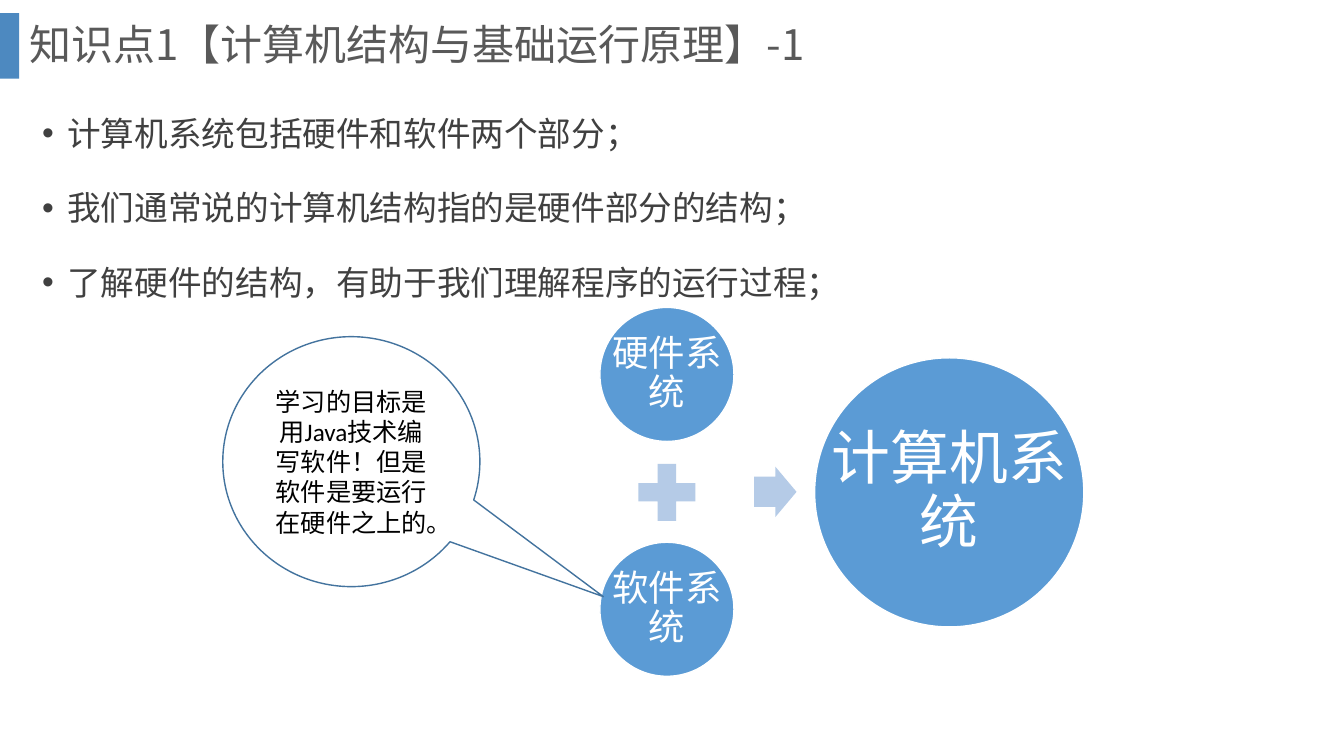
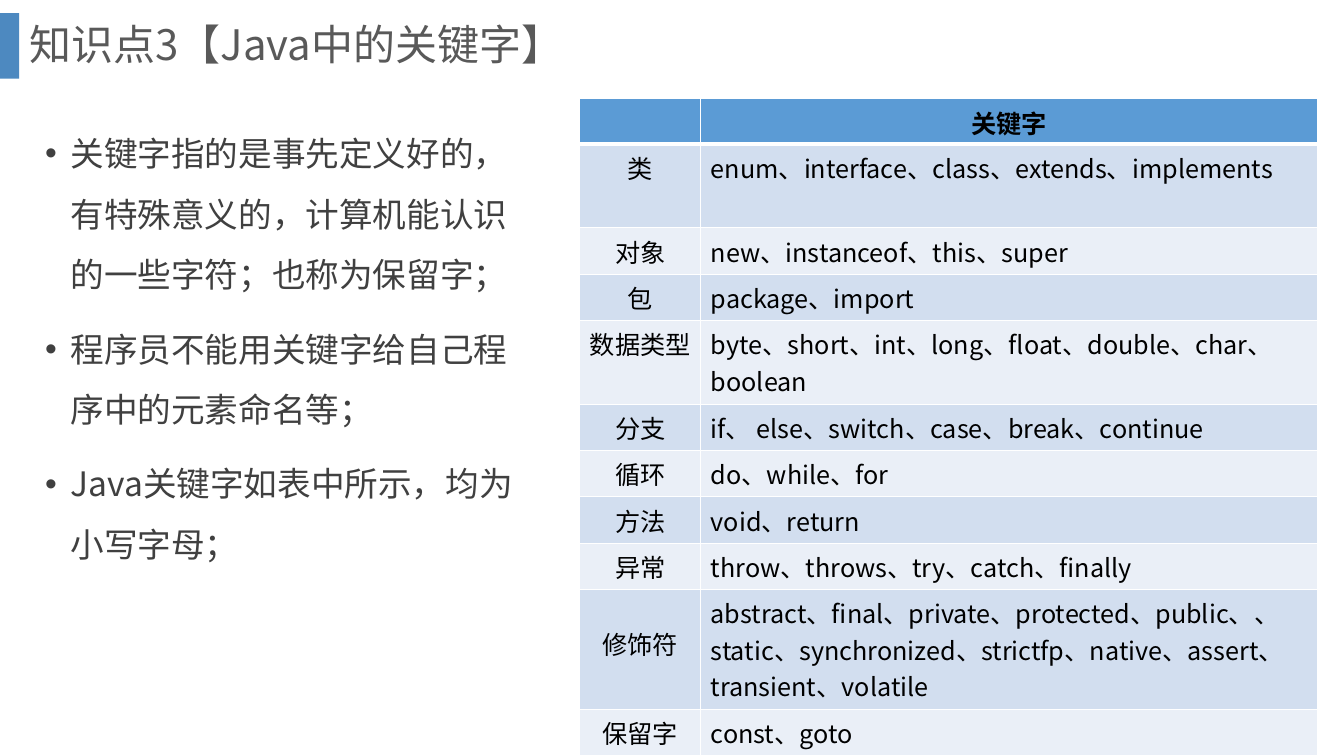
from dataclasses import dataclass
from lxml import etree
from pptx import Presentation
from pptx import util as u
from pptx.dml.color import RGBColor
from pptx.enum import shapes, text
from pptx.oxml.ns import qn

EMU_PER_PX = 9144


@dataclass(frozen=True)
class Theme:
    cjk: str = "Noto Sans CJK SC"
    latin: str = "Calibri"
    title: str = "595959"
    body: str = "404040"
    black: str = "000000"
    white: str = "FFFFFF"
    band: str = "2E75B6"
    accent: str = "5B9BD5"
    operator: str = "B5CBE7"
    outline: str = "43739E"
    rows: tuple[str, str] = ("D2DEEF", "EAEFF7")
    title_pt: int = 30
    body_pt: int = 24
    small_pt: int = 18
    circle_pt: int = 26
    total_pt: int = 42


@dataclass(frozen=True)
class Box:
    x: int
    y: int
    w: int
    h: int

    def emu(self) -> tuple[int, int, int, int]:
        return px(self.x), px(self.y), px(self.w), px(self.h)


@dataclass(frozen=True)
class Circle:
    label: str
    box: Box
    size: int
    inset: int


@dataclass(frozen=True)
class Operator:
    kind: shapes.MSO_SHAPE
    box: Box
    adjustments: tuple[float, ...] = ()


@dataclass(frozen=True)
class KeywordRow:
    label: str
    words: str
    height: int = 46
    label_top: int = 5


T = Theme()
BAND = Box(0, 13, 19, 65)
TITLE = Box(19, 0, 1266, 93)
HEADER_H = 45

CIRCLES = [
    Circle("硬件系统", Box(595, 305, 133, 133), T.circle_pt, 4),
    Circle("软件系统", Box(595, 538, 133, 133), T.circle_pt, 4),
    Circle("计算机系统", Box(808, 355, 267, 267), T.total_pt, 6),
]
OPERATORS = [
    Operator(shapes.MSO_SHAPE.MATH_PLUS, Box(623, 450, 77, 77)),
    Operator(shapes.MSO_SHAPE.RIGHT_ARROW, Box(748, 463, 42, 50), (0.6, 0.5)),
]
KEYWORDS = [
    KeywordRow("类", "enum、interface、class、extends、implements", 83),
    KeywordRow("对象", "new、instanceof、this、super"),
    KeywordRow("包", "package、import"),
    KeywordRow("数据类型", "byte、short、int、long、float、double、char、boolean", 83),
    KeywordRow("分支", "if、 else、switch、case、break、continue"),
    KeywordRow("循环", "do、while、for"),
    KeywordRow("方法", "void、return"),
    KeywordRow("异常", "throw、throws、try、catch、finally"),
    KeywordRow("修饰符", "abstract、final、private、protected、public、、static、"
               "synchronized、strictfp、native、assert、transient、volatile",
               119, 35),
    KeywordRow("保留字", "const、goto"),
]


def px(n: int) -> int:
    return u.Emu(n * EMU_PER_PX)


def rgb(color: str) -> RGBColor:
    return RGBColor.from_string(color)


def style(p, size: int, color: str, font: str, bold: bool = False) -> None:
    for r in p.runs:
        r.font.size = u.Pt(size)
        r.font.bold = bold
        r.font.name = font
        r.font.color.rgb = rgb(color)
        ea = etree.SubElement(r.font._element, qn("a:ea"))
        ea.set("typeface", T.cjk)


def add_shape(s, kind, box: Box, fill: str | None, line: str | None = None,
              adjustments: tuple[float, ...] = ()):
    sp = s.shapes.add_shape(kind, *box.emu())
    sp.shadow.inherit = False
    if fill:
        sp.fill.solid()
        sp.fill.fore_color.rgb = rgb(fill)
    else:
        sp.fill.background()
    if line:
        sp.line.color.rgb = rgb(line)
        sp.line.width = u.Pt(1)
    else:
        sp.line.fill.background()
    for i, value in enumerate(adjustments):
        sp.adjustments[i] = value
    return sp


def set_up_layout(s) -> None:
    layout = s.slide_layout
    for ph in list(layout.placeholders):
        if ph.placeholder_format.idx:
            layout.shapes.element.remove(ph.element)
    sp = add_shape(s, shapes.MSO_SHAPE.RECTANGLE, BAND, T.band)
    color = next(sp.element.iter(qn("a:srgbClr")))
    etree.SubElement(color, qn("a:alpha")).set("val", "85000")
    layout.shapes.element.append(sp.element)


def add_slide(prs, title: str):
    s = prs.slides.add_slide(prs.slide_layouts[5])
    sp = s.shapes.title
    sp.left, sp.top, sp.width, sp.height = TITLE.emu()
    tf = sp.text_frame
    tf.text = title
    tf.auto_size = text.MSO_AUTO_SIZE.NONE
    tf.vertical_anchor = text.MSO_ANCHOR.MIDDLE
    p = tf.paragraphs[0]
    p.alignment = text.PP_ALIGN.LEFT
    p.line_spacing = 0.9
    style(p, T.title_pt, T.title, T.cjk)
    return s


def add_bullets(s, box: Box, items: list[str]) -> None:
    tf = s.shapes.add_textbox(*box.emu()).text_frame
    tf.word_wrap = True
    tf.text = "\n".join(items)
    for p in tf.paragraphs:
        p.line_spacing = 1.5
        p.space_before = u.Pt(10)
        pPr = p._p.get_or_add_pPr()
        pPr.set("marL", str(px(25)))
        pPr.set("indent", str(-px(25)))
        etree.SubElement(pPr, qn("a:buFont")).set("typeface", "Arial")
        etree.SubElement(pPr, qn("a:buChar")).set("char", "•")
        style(p, T.body_pt, T.body, T.cjk)


def add_circle(s, circle: Circle) -> None:
    add_shape(s, shapes.MSO_SHAPE.OVAL, circle.box, T.accent, T.white)
    tf = s.shapes.add_textbox(*circle.box.emu()).text_frame
    tf.word_wrap = True
    tf.vertical_anchor = text.MSO_ANCHOR.MIDDLE
    tf.margin_left = tf.margin_right = px(circle.inset)
    tf.margin_top = tf.margin_bottom = px(circle.inset)
    tf.text = circle.label
    p = tf.paragraphs[0]
    p.alignment = text.PP_ALIGN.CENTER
    p.line_spacing = 0.9
    style(p, circle.size, T.white, T.latin)


def add_callout(s, box: Box, words: str) -> None:
    sp = add_shape(s, shapes.MSO_SHAPE.OVAL_CALLOUT, box, None, T.outline,
                   (0.98, 0.54))
    tf = sp.text_frame
    tf.word_wrap = True
    tf.vertical_anchor = text.MSO_ANCHOR.MIDDLE
    tf.text = words
    p = tf.paragraphs[0]
    p.alignment = text.PP_ALIGN.CENTER
    style(p, T.small_pt, T.black, T.latin)


def fill_cell(cell, words: str, fill: str, font: str, centred: bool,
              bold: bool = False, bottom_pt: int = 1) -> None:
    cell.fill.solid()
    cell.fill.fore_color.rgb = rgb(fill)
    cell.text = words
    p = cell.text_frame.paragraphs[0]
    p.alignment = text.PP_ALIGN.CENTER if centred else text.PP_ALIGN.LEFT
    style(p, T.small_pt, T.black, font, bold)
    set_borders(cell, bottom_pt)


def set_borders(cell, bottom_pt: int) -> None:
    tcPr = cell._tc.get_or_add_tcPr()
    for i, side in enumerate(("lnL", "lnR", "lnT", "lnB")):
        ln = etree.Element(qn(f"a:{side}"))
        ln.set("w", str(u.Pt(bottom_pt if side == "lnB" else 1)))
        fill = etree.SubElement(ln, qn("a:solidFill"))
        etree.SubElement(fill, qn("a:srgbClr")).set("val", T.white)
        tcPr.insert(i, ln)


def add_keyword_table(s, x: int, y: int, widths: list[int]) -> None:
    heights = [HEADER_H] + [row.height for row in KEYWORDS]
    box = Box(x, y, sum(widths), sum(heights))
    tbl = s.shapes.add_table(len(heights), len(widths), *box.emu()).table
    for column, width in zip(tbl.columns, widths):
        column.width = px(width)
    for row, height in zip(tbl.rows, heights):
        row.height = px(height)
    for cell, words in zip(tbl.rows[0].cells, ("", "关键字")):
        fill_cell(cell, words, T.accent, T.latin, True, True, 3)
    for i, row in enumerate(KEYWORDS):
        label, words = tbl.rows[i + 1].cells
        fill = T.rows[i % 2]
        fill_cell(label, row.label, fill, T.latin, True)
        fill_cell(words, row.words, fill, T.cjk, False)
        label.margin_top = px(row.label_top)


def build_structure(prs) -> None:
    s = add_slide(prs, "知识点1【计算机结构与基础运行原理】-1")
    set_up_layout(s)
    add_bullets(s, Box(32, 87, 1205, 232), [
        "计算机系统包括硬件和软件两个部分；",
        "我们通常说的计算机结构指的是硬件部分的结构；",
        "了解硬件的结构，有助于我们理解程序的运行过程；",
    ])
    for circle in CIRCLES:
        add_circle(s, circle)
    for op in OPERATORS:
        add_shape(s, op.kind, op.box, T.operator, adjustments=op.adjustments)
    add_callout(s, Box(221, 334, 255, 248),
                "学习的目标是用Java技术编写软件！但是软件是要运行在硬件之上的。")


def build_keywords(prs) -> None:
    s = add_slide(prs, "知识点3【Java中的关键字】")
    add_bullets(s, Box(35, 107, 491, 527), [
        "关键字指的是事先定义好的，有特殊意义的，计算机能认识的一些字符；也称为保留字；",
        "程序员不能用关键字给自己程序中的元素命名等；",
        "Java关键字如表中所示，均为小写字母；",
    ])
    add_keyword_table(s, 575, 98, [120, 612])


def main() -> None:
    prs = Presentation()
    prs.slide_width, prs.slide_height = px(1333), px(750)
    build_structure(prs)
    build_keywords(prs)
    prs.save("out.pptx")


if __name__ == "__main__":
    main()
